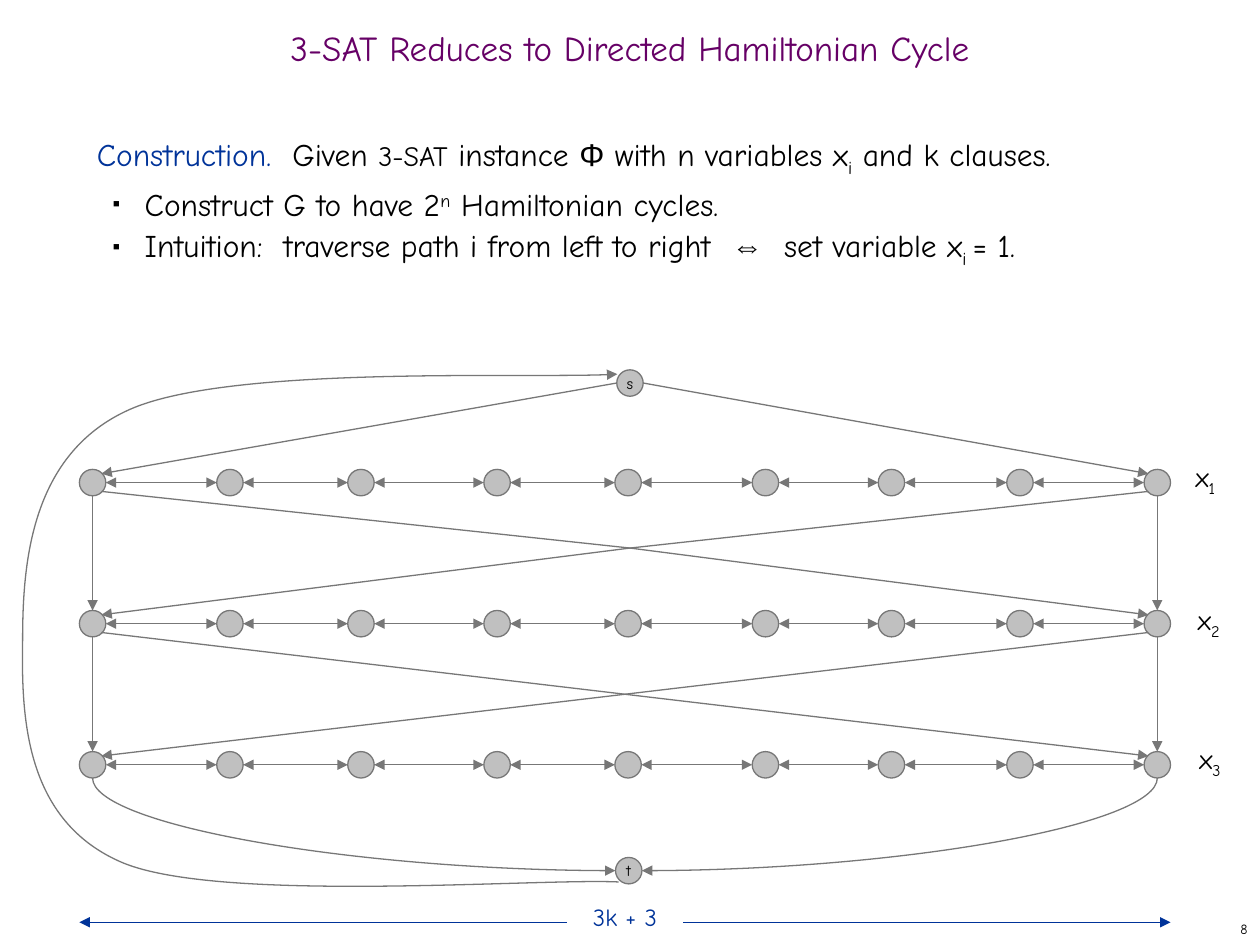
from dataclasses import dataclass, field
from itertools import pairwise
from typing import NamedTuple

from lxml.etree import SubElement
from pptx import Presentation
from pptx.dml.color import RGBColor
from pptx.enum.shapes import MSO_CONNECTOR as Link, MSO_SHAPE as Preset
from pptx.enum.text import MSO_ANCHOR as Anchor, PP_ALIGN as Align
from pptx.oxml.ns import qn
from pptx.util import Inches, Pt


@dataclass(frozen=True)
class Theme:
    font: str = "Comic Neue"
    symbol_font: str = "Arial"
    black: str = "000000"
    white: str = "FFFFFF"
    purple: str = "660066"
    blue: str = "003399"
    node_fill: str = "C0C0C0"
    edge: str = "777777"
    title: int = 20
    body: int = 18
    label: int = 16
    scale: int = 14
    node: int = 9
    page: int = 8
    line: float = 0.75


THEME = Theme()


class Point(NamedTuple):
    x: float
    y: float


class Run(NamedTuple):
    text: str
    size: int = THEME.body
    color: str = THEME.black
    font: str = THEME.font
    baseline: int = 0


@dataclass
class Line:
    runs: list[Run]
    bullet: bool = False
    format: dict = field(default_factory=dict)


def rgb(color: str) -> RGBColor:
    return RGBColor.from_string(color)


def apply(target, values: dict) -> None:
    for name, value in values.items():
        setattr(target, name, value)


def write(shape, lines: list[Line], **frame_format) -> None:
    frame = shape.text_frame
    apply(frame, {"word_wrap": True, **frame_format})
    for index, line in enumerate(lines):
        paragraph = frame.add_paragraph() if index else frame.paragraphs[0]
        apply(paragraph, line.format)
        if line.bullet:
            add_bullet(paragraph)
        for item in line.runs:
            run = paragraph.add_run()
            run.text = item.text
            apply(run.font, {"name": item.font, "size": Pt(item.size)})
            run.font.color.rgb = rgb(item.color)
            if item.baseline:
                run.font._element.set("baseline", str(item.baseline * 1000))


def add_bullet(paragraph) -> None:
    properties = paragraph._p.get_or_add_pPr()
    properties.set("marL", str(Inches(0.38)))
    properties.set("indent", str(Inches(-0.25)))
    color = SubElement(properties, qn("a:buClr"))
    SubElement(color, qn("a:srgbClr"), val=THEME.black)
    SubElement(properties, qn("a:buSzPct"), val="35000")
    SubElement(properties, qn("a:buFont"), typeface=THEME.symbol_font)
    SubElement(properties, qn("a:buChar"), char="■")


def add_text(slide, box: tuple, lines: list[Line], **frame_format) -> None:
    shape = slide.shapes.add_textbox(*map(Inches, box))
    write(shape, lines, **frame_format)


def style_line(shape, color: str, head: bool, tail: bool) -> None:
    shape.line.color.rgb = rgb(color)
    shape.line.width = Pt(THEME.line)
    outline = shape.line._get_or_add_ln()
    for tag, shown in (("a:headEnd", head), ("a:tailEnd", tail)):
        if shown:
            SubElement(outline, qn(tag), type="triangle")


def add_edge(slide, start: Point, end: Point, color: str = THEME.edge,
             head: bool = False, tail: bool = True, curved: bool = False) -> None:
    kind = Link.CURVE if curved else Link.STRAIGHT
    connector = slide.shapes.add_connector(kind, *map(Inches, (*start, *end)))
    style_line(connector, color, head, tail)
    properties = connector._element.spPr
    SubElement(properties, qn("a:effectLst"))
    if curved:  # a single quarter bend
        properties.find(qn("a:prstGeom")).set("prst", "curvedConnector2")


def add_bezier(slide, points: list[Point]) -> None:
    """Draw cubic curves: a start, then two controls and an end for each."""
    start, *rest = [tuple(map(Inches, point)) for point in points]
    builder = slide.shapes.build_freeform(*start)
    builder.add_line_segments(rest, close=False)
    shape = builder.convert_to_shape()
    shape.shadow.inherit = False
    shape.fill.background()
    style_line(shape, THEME.edge, head=False, tail=True)
    outline = shape._element.find(".//" + qn("a:path"))
    segments = outline.findall(qn("a:lnTo"))
    for first in range(0, len(segments), 3):
        curve = SubElement(outline, qn("a:cubicBezTo"))
        for segment in segments[first:first + 3]:
            curve.append(segment[0])
            outline.remove(segment)


# Graph geometry
NODE = 0.21
RADIUS = NODE / 2
COLUMNS = [x + RADIUS for x in (0.63, 1.72, 2.76, 3.84, 4.88, 5.97, 6.97, 7.99, 9.08)]
ROWS = [3.83 + 1.12 * row for row in range(3)]
LEFT, RIGHT = COLUMNS[0], COLUMNS[-1]
CORNER = 0.07  # offset of a slanted edge's end from the node centre
SOURCE, SINK = Point(5, 3.04), Point(4.99, 6.91)
CROSSING = Point(5, 4.35)


def add_node(slide, center: Point, name: str = "") -> None:
    box = (center.x - RADIUS, center.y - RADIUS, NODE, NODE)
    node = slide.shapes.add_shape(Preset.OVAL, *map(Inches, box))
    node.shadow.inherit = False
    node.fill.solid()
    node.fill.fore_color.rgb = rgb(THEME.node_fill)
    style_line(node, THEME.edge, head=False, tail=False)
    if name:
        write(node, [Line([Run(name, THEME.node)], format={"alignment": Align.CENTER})],
              word_wrap=False, vertical_anchor=Anchor.MIDDLE)


def add_graph(slide) -> None:
    # Variable paths, travelled both ways
    for y in ROWS:
        for x, following in pairwise(COLUMNS):
            add_edge(slide, Point(x + RADIUS, y), Point(following - RADIUS, y), head=True)
        for x in COLUMNS:
            add_node(slide, Point(x, y))

    # Edges from each path to the next; the first pair bends at the crossing
    for row, (y, below) in enumerate(pairwise(ROWS)):
        for x, other, side in ((LEFT, RIGHT, 1), (RIGHT, LEFT, -1)):
            add_edge(slide, Point(x, y + RADIUS), Point(x, below - RADIUS))
            start = Point(x + side * CORNER, y + CORNER)
            end = Point(other - side * CORNER, below - CORNER)
            if row == 0:
                add_edge(slide, start, CROSSING, tail=False)
                add_edge(slide, CROSSING, end)
            else:
                add_edge(slide, start, end)

    # Source and sink
    for x, side in ((LEFT, -1), (RIGHT, 1)):
        add_edge(slide, Point(SOURCE.x + side * RADIUS, SOURCE.y),
                 Point(x - side * CORNER, ROWS[0] - CORNER))
        add_edge(slide, Point(SINK.x + side * RADIUS, SINK.y),
                 Point(x, ROWS[-1] + RADIUS), head=True, tail=False, curved=True)
    add_bezier(slide, [
        Point(4.91, 7), Point(4.26, 6.97), Point(1.77, 7.17), Point(0.98, 6.85),
        Point(0.19, 6.52), Point(0.17, 5.68), Point(0.18, 5.08),
        Point(0.18, 4.48), Point(0.24, 3.6), Point(1.03, 3.25),
        Point(1.82, 2.9), Point(4.26, 3.01), Point(4.9, 2.97)])
    add_node(slide, SOURCE, "s")
    add_node(slide, SINK, "t")

    # Variable names
    for number, (x, y) in enumerate(((9.39, 3.6), (9.41, 4.73), (9.42, 5.84)), start=1):
        runs = [Run("x", THEME.label), Run(str(number), THEME.label, baseline=-25)]
        add_text(slide, (x, y, 0.37, 0.4), [Line(runs)], word_wrap=False)


def add_width_scale(slide) -> None:
    add_edge(slide, Point(0.63, 7.32), Point(9.29, 7.32), THEME.blue, head=True)
    label = slide.shapes.add_shape(Preset.RECTANGLE, *map(Inches, (4.5, 7.16, 0.92, 0.23)))
    label.shadow.inherit = False
    label.fill.solid()
    label.fill.fore_color.rgb = rgb(THEME.white)
    label.line.fill.background()
    write(label, [Line([Run("3k + 3", THEME.scale, THEME.blue)],
                       format={"alignment": Align.CENTER})],
          vertical_anchor=Anchor.TOP, margin_top=0, margin_bottom=0)


def main() -> None:
    presentation = Presentation()
    apply(presentation, {"slide_width": Inches(10), "slide_height": Inches(7.5)})
    slide = presentation.slides.add_slide(presentation.slide_layouts[6])

    # Title, page number and construction
    add_text(slide, (0, 0.17, 10, 0.5), [
        Line([Run("3-SAT Reduces to Directed Hamiltonian Cycle", THEME.title, THEME.purple)],
             format={"alignment": Align.CENTER, "line_spacing": 0.7})],
        vertical_anchor=Anchor.MIDDLE)
    add_text(slide, (7.92, 7.25, 2.08, 0.25), [
        Line([Run("8", THEME.page)], format={"alignment": Align.RIGHT})],
        vertical_anchor=Anchor.MIDDLE)
    spacing = {"line_spacing": Pt(26)}
    add_text(slide, (0.67, 1, 8.58, 1.3), [
        Line([Run("Construction.  ", color=THEME.blue), Run("Given "),
              Run("3-SAT", THEME.label), Run(" instance "),
              Run("Φ", font=THEME.symbol_font), Run(" with n variables x"),
              Run("i", baseline=-25), Run(" and k clauses.")], format=spacing),
        Line([Run("Construct G to have 2"), Run("n", baseline=30),
              Run(" Hamiltonian cycles.")], bullet=True, format=spacing),
        Line([Run("Intuition:  traverse path i from left to right  "),
              Run("⇔", font=THEME.symbol_font), Run("  set variable x"),
              Run("i ", baseline=-25), Run("= 1.")], bullet=True, format=spacing)])

    add_graph(slide)
    add_width_scale(slide)
    presentation.save("out.pptx")


if __name__ == "__main__":
    main()
